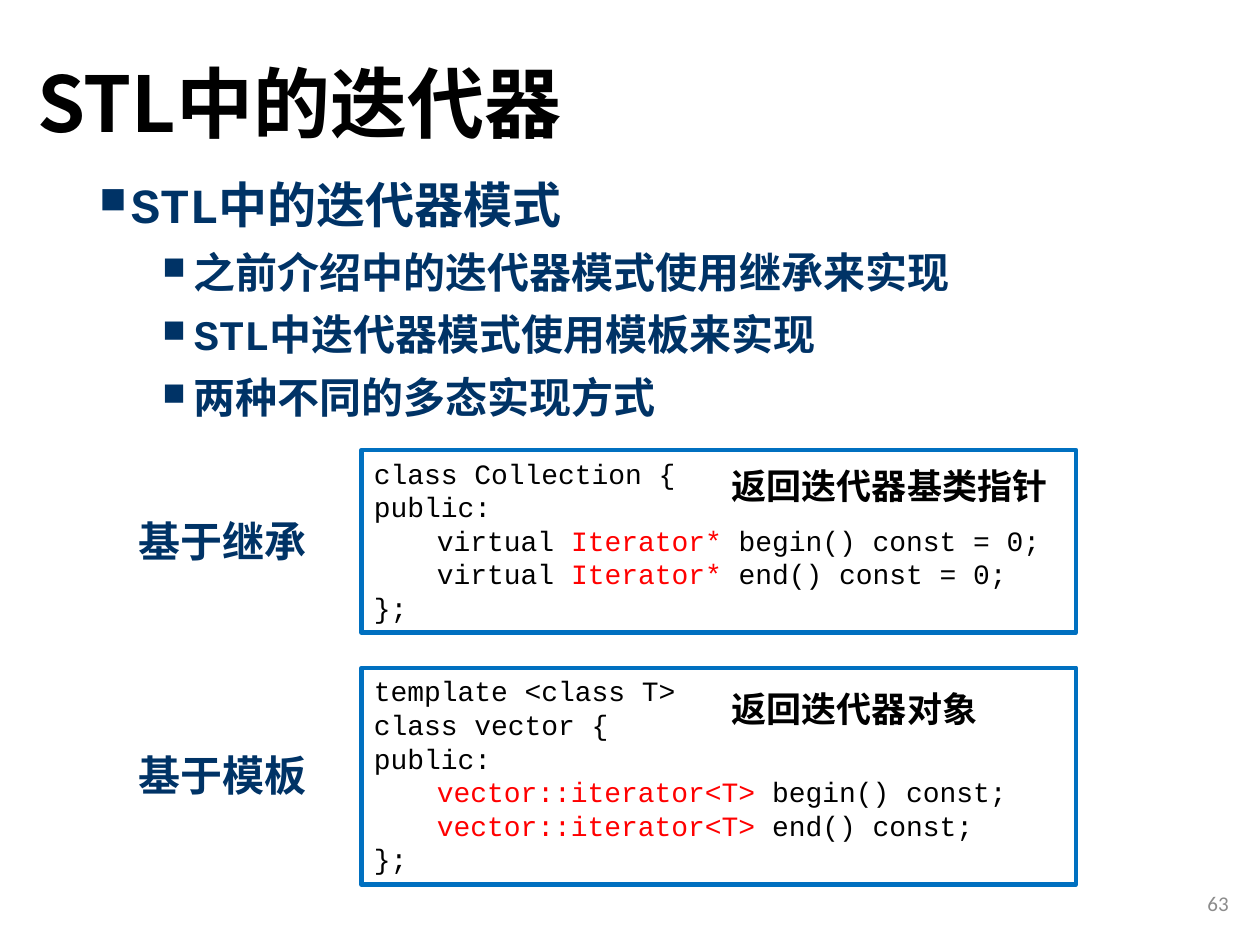
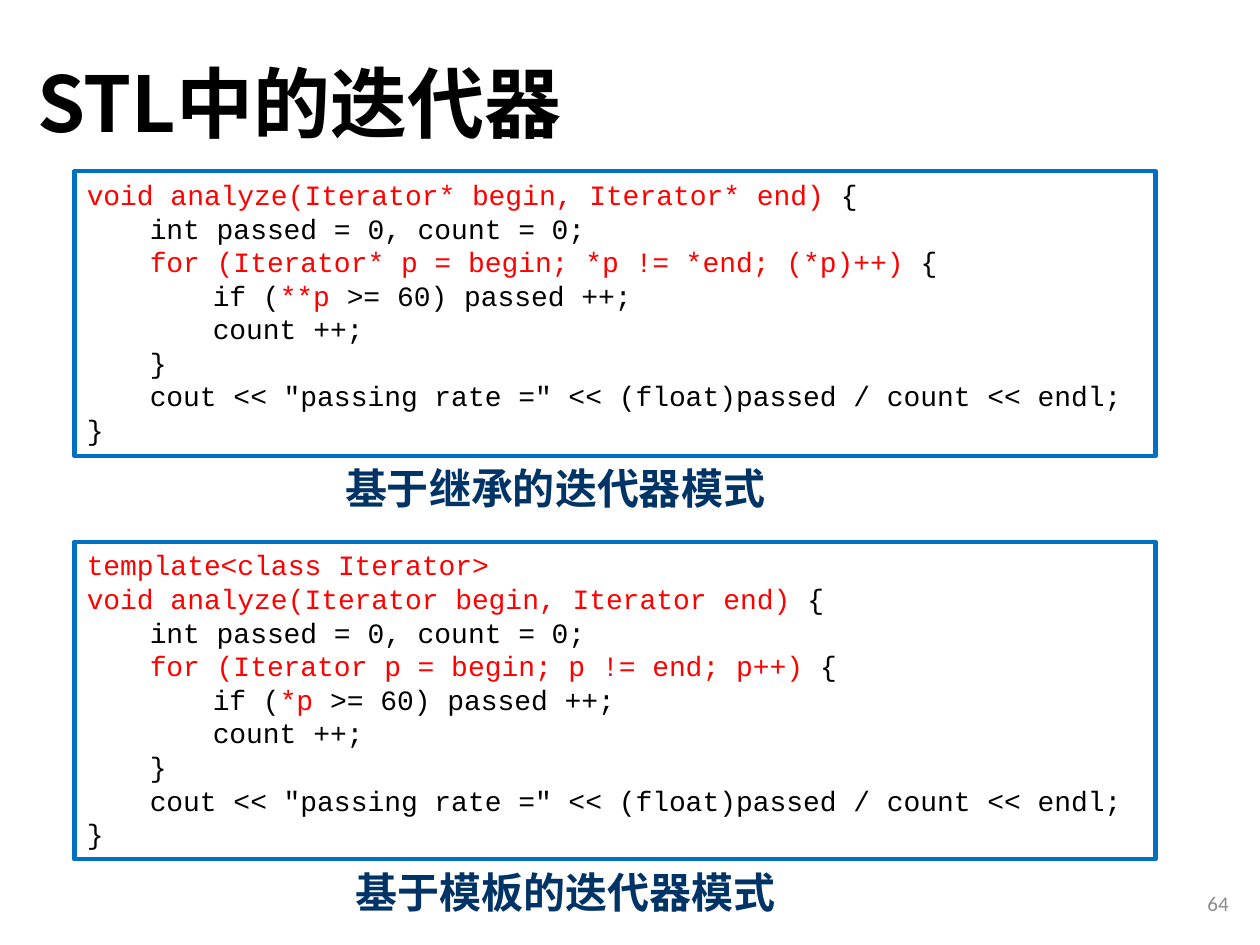
from dataclasses import dataclass

from lxml import etree
from pptx import Presentation
from pptx.dml.color import RGBColor
from pptx.enum.shapes import MSO_SHAPE
from pptx.enum.text import MSO_ANCHOR, MSO_AUTO_SIZE, PP_ALIGN
from pptx.oxml.ns import qn
from pptx.util import Inches, Pt


@dataclass(frozen=True)
class Theme:
    black: str = "000000"
    navy: str = "003366"
    red: str = "FF0000"
    blue: str = "0070C0"
    gray: str = "8C8C8C"
    chinese: str = "Noto Sans CJK SC"
    code: str = "Courier New"
    plain: str = "Calibri"
    title_size: int = 44
    heading_size: int = 28
    label_size: int = 24
    note_size: int = 20
    code_size: int = 16
    number_size: int = 12
    frame_width: float = 2.5
    code_indent: float = 0.5


class SlideWriter:
    def __init__(self, deck, theme):
        self.deck = deck
        self.theme = theme
        self.page = None

    def start(self, title, number):
        theme = self.theme
        self.page = self.deck.slides.add_slide(self.deck.slide_layouts[6])
        frame = self.text_box(0.2, 0.13, 8.62, 1.45, anchor=MSO_ANCHOR.MIDDLE)
        para = frame.paragraphs[0]
        para.line_spacing = 0.9
        self.span(para, title, theme.title_size, theme.chinese, theme.black, True)
        frame = self.text_box(7.6, 6.97, 2.25, 0.4, anchor=MSO_ANCHOR.MIDDLE)
        para = frame.paragraphs[0]
        para.alignment = PP_ALIGN.RIGHT
        self.span(para, str(number), theme.number_size, theme.plain, theme.gray)

    def span(self, para, text, size, font, color, bold=False):
        span = para.add_run()
        span.text = text
        span.font.size = Pt(size)
        span.font.name = font
        span.font.bold = bold
        span.font.color.rgb = RGBColor.from_string(color)
        east_asian = etree.SubElement(span.font._element, qn("a:ea"))
        east_asian.set("typeface", self.theme.chinese)

    def text_box(self, left, top, width, height, wrap=True, anchor=MSO_ANCHOR.TOP):
        box = self.page.shapes.add_textbox(
            Inches(left), Inches(top), Inches(width), Inches(height))
        frame = box.text_frame
        frame.word_wrap = wrap
        frame.vertical_anchor = anchor
        return frame

    def paragraphs(self, frame, items):
        for index, item in enumerate(items):
            yield frame.add_paragraph() if index else frame.paragraphs[0], item

    def bullets(self, left, top, width, height, items):
        theme = self.theme
        frame = self.text_box(left, top, width, height)
        for para, (level, text) in self.paragraphs(frame, items):
            para.level = level
            para.line_spacing = 0.9
            para.space_before = Pt(10)
            properties = para._p.get_or_add_pPr()
            properties.set("marL", str(Inches(0.25 + 0.5 * level)))
            properties.set("indent", str(Inches(-0.25)))
            etree.SubElement(properties, qn("a:buSzPct")).set("val", "75000")
            etree.SubElement(properties, qn("a:buChar")).set("char", "■")
            size = theme.label_size if level else theme.heading_size
            self.span(para, text, size, theme.code, theme.navy, True)

    def code_box(self, left, top, width, height, lines):
        theme = self.theme
        box = self.page.shapes.add_shape(
            MSO_SHAPE.RECTANGLE, Inches(left), Inches(top), Inches(width), Inches(height))
        box.shadow.inherit = False
        box.fill.background()
        box.line.color.rgb = RGBColor.from_string(theme.blue)
        box.line.width = Pt(theme.frame_width)
        frame = box.text_frame
        frame.word_wrap = True
        frame.auto_size = MSO_AUTO_SIZE.SHAPE_TO_FIT_TEXT
        frame.vertical_anchor = MSO_ANCHOR.TOP
        for para, (depth, marked) in self.paragraphs(frame, lines):
            para.alignment = PP_ALIGN.LEFT
            properties = para._p.get_or_add_pPr()
            properties.set("marL", str(Inches(theme.code_indent * depth)))
            properties.set("indent", "0")
            for index, text in enumerate(marked.split("`")):
                if text:
                    color = theme.red if index % 2 else theme.black
                    self.span(para, text, theme.code_size, theme.code, color)

    def caption(self, left, top, width, height, text, size, font, color):
        frame = self.text_box(left, top, width, height, wrap=False)
        frame.auto_size = MSO_AUTO_SIZE.SHAPE_TO_FIT_TEXT
        self.span(frame.paragraphs[0], text, size, font, color, True)

    def label(self, left, top, width, text):
        theme = self.theme
        self.caption(left, top, width, 0.5, text, theme.label_size, theme.code, theme.navy)

    def note(self, left, top, width, text):
        theme = self.theme
        self.caption(left, top, width, 0.44, text, theme.note_size, theme.plain, theme.black)


TITLE = "STL中的迭代器"

PATTERN_POINTS = [
    (0, "STL中的迭代器模式"),
    (1, "之前介绍中的迭代器模式使用继承来实现"),
    (1, "STL中迭代器模式使用模板来实现"),
    (1, "两种不同的多态实现方式"),
]

COLLECTION_CODE = [
    (0, "class Collection {"),
    (0, "public:"),
    (1, "virtual `Iterator*` begin() const = 0;"),
    (1, "virtual `Iterator*` end() const = 0;"),
    (0, "};"),
]

VECTOR_CODE = [
    (0, "template <class T>"),
    (0, "class vector {"),
    (0, "public:"),
    (1, "`vector::iterator<T>` begin() const;"),
    (1, "`vector::iterator<T>` end() const;"),
    (0, "};"),
]


def analyze_code(kind, loop, value):
    return [
        (0, f"`void analyze({kind} begin, {kind} end) `{{"),
        (1, "int passed = 0, count = 0;"),
        (1, f"`for ({kind} p = begin; {loop}) `{{"),
        (2, f"if (`{value} `>= 60) passed ++;"),
        (2, "count ++;"),
        (1, "}"),
        (1, 'cout << "passing rate =" << (float)passed / count << endl;'),
        (0, "}"),
    ]


def pattern_slide(writer):
    writer.start(TITLE, 63)
    writer.bullets(0.69, 1.39, 8.8, 5.19, PATTERN_POINTS)
    writer.code_box(2.87, 3.57, 5.67, 1.45, COLLECTION_CODE)
    writer.label(1, 4.04, 1.55, "基于继承")
    writer.code_box(2.87, 5.3, 5.67, 1.72, VECTOR_CODE)
    writer.label(1, 5.9, 1.55, "基于模板")
    writer.note(5.71, 3.64, 2.73, "返回迭代器基类指针")
    writer.note(5.71, 5.41, 2.17, "返回迭代器对象")


def analyze_slide(writer):
    writer.start(TITLE, 64)
    inherited = analyze_code("Iterator*", "*p != *end; (*p)++", "**p")
    templated = [(0, "`template<class Iterator>`")]
    templated += analyze_code("Iterator", "p != end; p++", "*p")
    writer.code_box(0.59, 1.36, 8.58, 2.26, inherited)
    writer.label(2.64, 3.62, 3.57, "基于继承的迭代器模式")
    writer.code_box(0.59, 4.3, 8.58, 2.52, templated)
    writer.label(2.72, 6.83, 3.57, "基于模板的迭代器模式")


def main():
    deck = Presentation()
    deck.slide_width = Inches(10)
    deck.slide_height = Inches(7.5)
    writer = SlideWriter(deck, Theme())
    pattern_slide(writer)
    analyze_slide(writer)
    deck.save("out.pptx")


if __name__ == "__main__":
    main()
